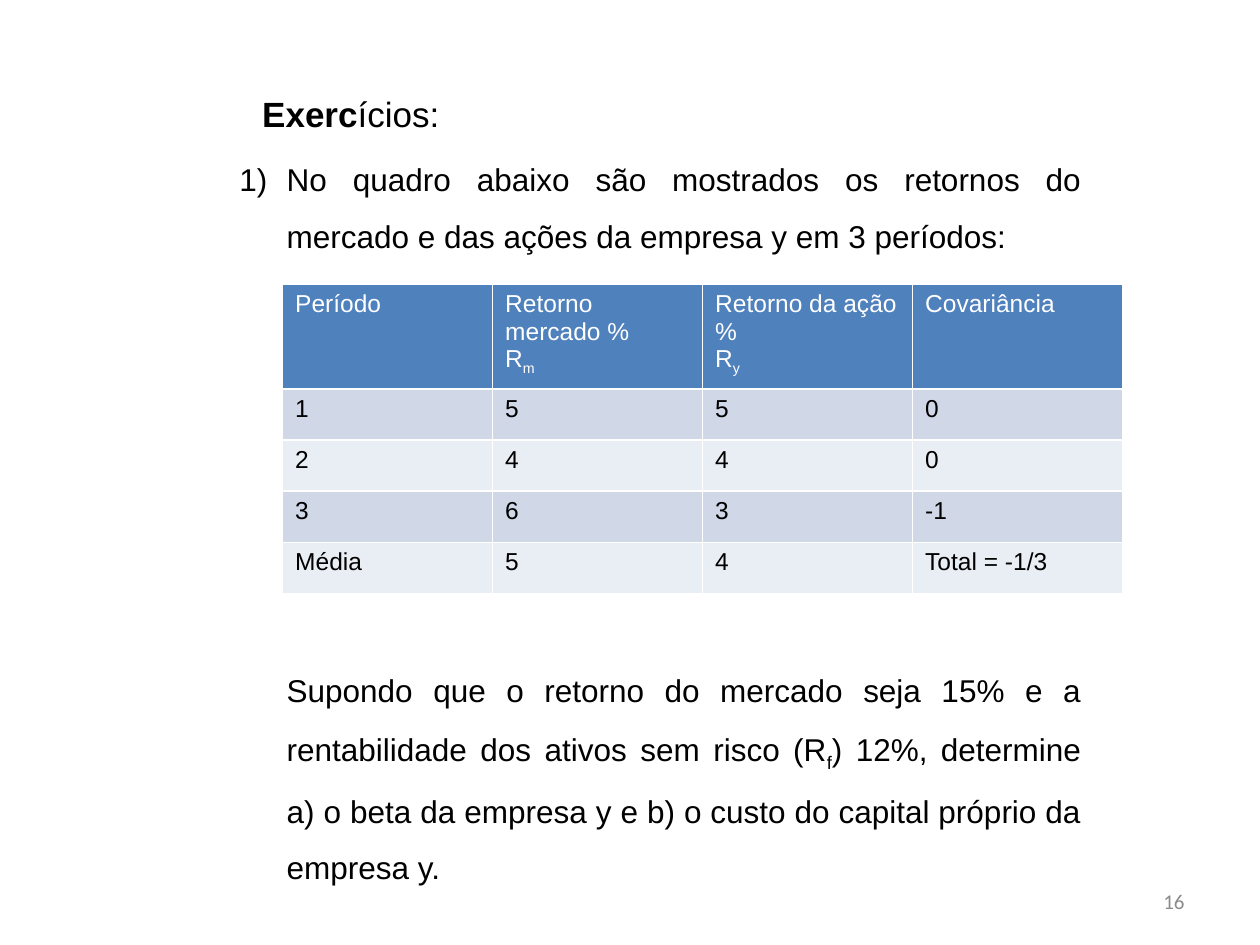
from lxml import etree
from pptx import Presentation
from pptx.dml.color import RGBColor
from pptx.enum.text import MSO_ANCHOR, MSO_AUTO_SIZE, PP_ALIGN
from pptx.oxml.ns import qn
from pptx.util import Pt

JUSTIFY, RIGHT = PP_ALIGN.JUSTIFY, PP_ALIGN.RIGHT
TOP, MIDDLE = MSO_ANCHOR.TOP, MSO_ANCHOR.MIDDLE
GROW = MSO_AUTO_SIZE.SHAPE_TO_FIT_TEXT
TITLE_AND_CONTENT = 1

# Content: a paragraph is a list of spans, "_" marks a subscript
TITLE = ["Exerc", "ícios:"]
QUESTION = ["No quadro abaixo são mostrados os retornos do mercado "
            "e das ações da empresa y em 3 períodos:"]
TASK = ["Supondo que o retorno do mercado seja 15% e a rentabilidade "
        "dos ativos sem risco (R", "_f",
        ") 12%, determine a) o beta da empresa y e b) o custo do capital "
        "próprio da empresa y."]
HEADER = [
    [["Período"]],
    [["Retorno mercado %"], ["R", "_m"]],
    [["Retorno da ação %"], ["R", "_y"]],
    [["Covariância"]],
]
ROWS = [
    ["1", "5", "5", "0"],
    ["2", "4", "4", "0"],
    ["3", "6", "3", "-1"],
    ["Média", "5", "4", "Total = -1/3"],
]
PAGE_NUMBER = "16"

# Look
BLACK, WHITE, GREY = "000000", "FFFFFF", "8C8C8C"
HEADER_FILL, BANDS = "4F81BD", ["D0D8E8", "E9EDF4"]
INDENT = 27
TABLE_GAP = 227
COLUMN_WIDTH, HEADER_HEIGHT, ROW_HEIGHT = 120, 58, 29.2


def color(value):
    return RGBColor.from_string(value)


def write(paragraph, spans, size, shade=BLACK, font="Arial"):
    for text in spans:
        span = paragraph.add_run()
        span.text = text.removeprefix("_")
        span.font.name, span.font.size = font, Pt(size)
        span.font.bold = False
        span.font.color.rgb = color(shade)
        if text.startswith("_"):
            span.font._element.set("baseline", "-25000")


def place(shape, left, top, width, height):
    shape.left, shape.top = Pt(left), Pt(top)
    shape.width, shape.height = Pt(width), Pt(height)


def set_bullet(paragraph, tag, first_indent, **attributes):
    properties = paragraph._p.get_or_add_pPr()
    properties.set("marL", str(Pt(INDENT)))
    properties.set("indent", str(Pt(first_indent)))
    etree.SubElement(properties, qn(tag), attributes)


deck = Presentation()
deck.slide_width, deck.slide_height = Pt(720), Pt(540)
page = deck.slides.add_slide(deck.slide_layouts[TITLE_AND_CONTENT])
title, body = page.shapes.title, page.placeholders[1]

# Exercise text, with room for the table between the paragraphs
place(body, 129.6, 77, 495.4, 432.7)
frame = body.text_frame
frame.auto_size, frame.vertical_anchor = GROW, TOP
question, task = frame.paragraphs[0], frame.add_paragraph()
set_bullet(question, "a:buFont", -INDENT, typeface="+mj-lt")
set_bullet(question, "a:buAutoNum", -INDENT, type="arabicParenR")
set_bullet(task, "a:buNone", 0)
for paragraph, spans, gap in [(question, QUESTION, 0), (task, TASK, TABLE_GAP)]:
    paragraph.alignment = JUSTIFY
    paragraph.line_spacing = 1.5
    paragraph.space_before = Pt(gap)
    write(paragraph, spans, 18)

# Title
place(title, 142.6, 49, 461.5, 31.5)
title.text_frame.auto_size = GROW
title.text_frame.vertical_anchor = TOP
heading = title.text_frame.paragraphs[0]
heading.alignment = JUSTIFY
write(heading, TITLE, 20)
heading.runs[0].font.bold = True

# Page number
number_box = page.shapes.add_textbox(Pt(516), Pt(500.5), Pt(168), Pt(28.75))
number_box.text_frame.word_wrap = True
number_box.text_frame.vertical_anchor = MIDDLE
number = number_box.text_frame.paragraphs[0]
number.alignment = RIGHT
write(number, [PAGE_NUMBER], 12, GREY, "Calibri")

# Table of returns
grid = [HEADER] + [[[[value]] for value in row] for row in ROWS]
table = page.shapes.add_table(
    len(grid), len(HEADER), Pt(161.5), Pt(162.3), Pt(COLUMN_WIDTH * len(HEADER)),
    Pt(HEADER_HEIGHT + ROW_HEIGHT * len(ROWS))).table
for column in table.columns:
    column.width = Pt(COLUMN_WIDTH)
for row_index, row in enumerate(grid):
    is_header = row_index == 0
    table.rows[row_index].height = Pt(HEADER_HEIGHT if is_header else ROW_HEIGHT)
    fill = HEADER_FILL if is_header else BANDS[(row_index - 1) % 2]
    for column_index, lines in enumerate(row):
        cell = table.cell(row_index, column_index)
        cell.fill.solid()
        cell.fill.fore_color.rgb = color(fill)
        for line_index, spans in enumerate(lines):
            frame = cell.text_frame
            paragraph = frame.add_paragraph() if line_index else frame.paragraphs[0]
            write(paragraph, spans, 14, WHITE if is_header else BLACK)

deck.save("out.pptx")
